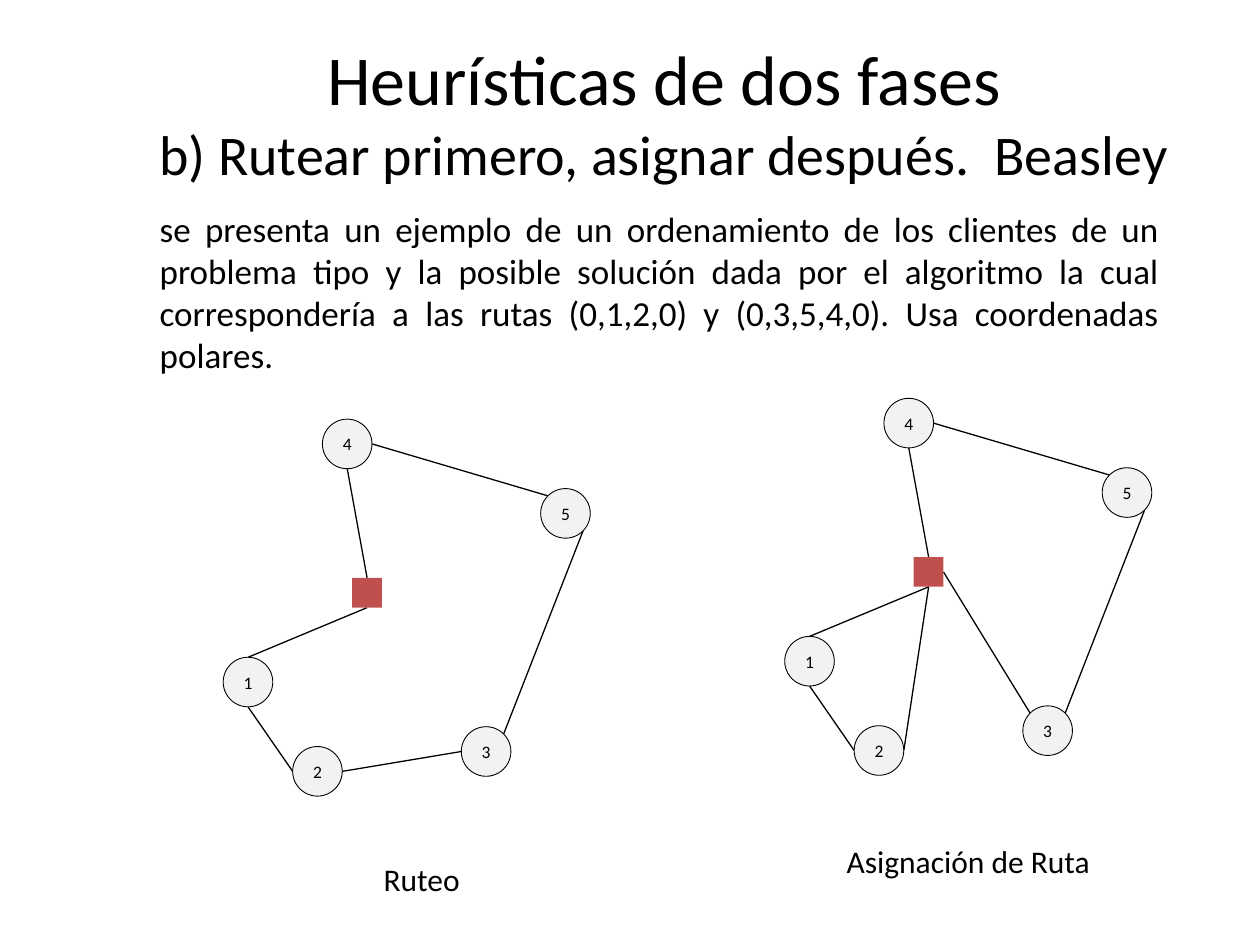
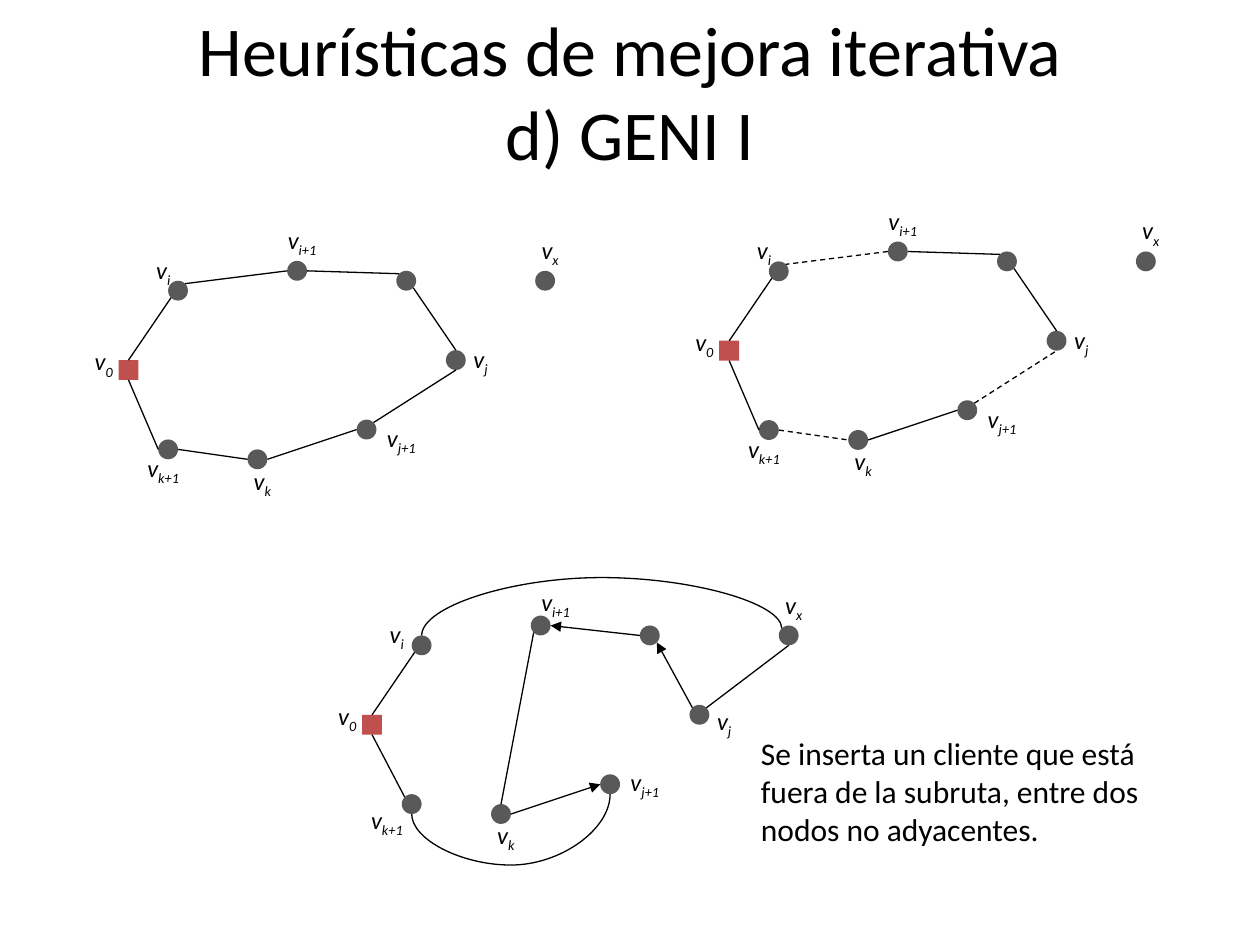
import dataclasses

import lxml.etree
import pptx
import pptx.dml.color
import pptx.enum.dml
import pptx.enum.shapes
import pptx.enum.text
import pptx.oxml.ns
import pptx.util

Cm = pptx.util.Cm
Align = pptx.enum.text.PP_ALIGN
Anchor = pptx.enum.text.MSO_ANCHOR
Preset = pptx.enum.shapes.MSO_SHAPE
Link = pptx.enum.shapes.MSO_CONNECTOR


@dataclasses.dataclass(frozen=True)
class Theme:
    """Colours, font, type sizes and line widths of the deck."""

    font: str = "Calibri"
    ink: str = "000000"
    depot: str = "C0504D"
    client: str = "F2F2F2"
    vertex: str = "595959"
    title: int = 40
    subtitle: int = 32
    body: int = 20
    caption: int = 18
    label: int = 14
    number: int = 10
    edge: float = 0.75
    outline: float = 0.5


@dataclasses.dataclass(frozen=True)
class Box:
    """A rectangle in centimetres."""

    left: float
    top: float
    width: float
    height: float

    def inner(self, left, top, width, height):
        """Return a box placed relative to this one."""
        return Box(self.left + left, self.top + top, width, height)

    def lengths(self):
        """Return left, top, width and height as slide lengths."""
        return [Cm(value) for value in dataclasses.astuple(self)]

    def site(self, compass):
        """Return the point of the inscribed ellipse in a compass direction."""
        reach = 0.3536 if len(compass) == 2 else 0.5
        across = ("e" in compass) - ("w" in compass)
        down = ("s" in compass) - ("n" in compass)
        return (
            self.left + self.width * (0.5 + reach * across),
            self.top + self.height * (0.5 + reach * down),
        )


THEME = Theme()

CLIENT_SIZE, CLIENT_DEPOT_SIZE, VERTEX_SIZE = 1, 0.6, 0.4
CLIENT_PLACES = {"1": (0, 4.8), "2": (1.4, 6.6), "3": (4.8, 6.2), "4": (2, 0), "5": (6.4, 1.4)}
CLIENT_DEPOT_PLACE = (2.6, 3.2)
SHARED_ROUTE = ["4 e 5 nw", "5 se 3 ne", "0 n 4 s", "1 n 0 s", "1 s 2 w"]
ROUTING = SHARED_ROUTE + ["3 w 2 e"]
ASSIGNMENT = SHARED_ROUTE + ["0 s 2 e", "0 e 3 nw"]

VERTEX_PLACES = {
    "0": (0, 2), "i": (1, 0.4), "i+1": (3.4, 0), "next": (5.6, 0.2), "j": (6.6, 1.8),
    "j+1": (4.8, 3.2), "k": (2.6, 3.8), "k+1": (0.8, 3.6), "x": (8.4, 0.2),
}
LABEL_OFFSETS = {
    "0": (-0.8, -0.4), "i": (-0.6, -0.65), "i+1": (-0.4, -0.85), "j": (0, -0.25),
    "j+1": (0.2, -0.05), "k": (-0.4, 0.2), "k+1": (-0.6, 0.15), "x": (-0.4, -0.85),
}
INSERTED_OFFSETS = LABEL_OFFSETS | {
    "i": (-0.8, -0.45), "i+1": (-0.2, -0.7), "j": (0, -0.1), "j+1": (0.2, -0.28), "k+1": (-1, 0.1),
}
KEPT = ["i sw 0 n", "next nw i+1 e", "j n next se", "k e j+1 w", "0 s k+1 w"]
REMOVED = ["i+1 w i ne", "j+1 ne j s", "k+1 e k w"]
INSERTED = ["i sw 0 n", "j ne x s", "0 s k+1 nw", "i+1 sw k n"]
REVERSED = ["k e j+1 w", "j nw next se", "next w i+1 e"]


def colour(code):
    """Turn a hex code into a colour."""
    return pptx.dml.color.RGBColor.from_string(code)


def write(frame, *lines, size=THEME.caption, align=Align.CENTER, anchor=Anchor.TOP, wrap=True):
    """Fill a text frame with one paragraph; a line is a list of (text, format) spans."""
    frame.word_wrap = wrap
    frame.auto_size = pptx.enum.text.MSO_AUTO_SIZE.NONE
    frame.vertical_anchor = anchor
    para = frame.paragraphs[0]
    para.alignment = align
    for index, line in enumerate(lines):
        if index:
            para.add_line_break()
        for text, look in line:
            span = para.add_run()
            span.text = text
            span.font.name = THEME.font
            span.font.size = pptx.util.Pt(look.get("size", size))
            span.font.color.rgb = colour(THEME.ink)
            if look.get("italic"):
                span.font.italic = True
            if look.get("subscript"):
                span.font._element.set("baseline", "-25000")


def add_text(page, box, *lines, **look):
    """Add a text box."""
    write(page.shapes.add_textbox(*box.lengths()).text_frame, *lines, **look)


def set_title(page, box, *lines):
    """Place and fill the title placeholder."""
    title = page.shapes.title
    title.left, title.top, title.width, title.height = box.lengths()
    write(title.text_frame, *lines, size=THEME.title)


def add_node(page, box, preset, fill, outlined=False):
    """Add a flat filled shape for a node."""
    node = page.shapes.add_shape(preset, *box.lengths())
    node.shadow.inherit = False
    node.fill.solid()
    node.fill.fore_color.rgb = colour(fill)
    if outlined:
        node.line.color.rgb = colour(THEME.ink)
        node.line.width = pptx.util.Pt(THEME.outline)
    else:
        node.line.fill.background()
    return node


def add_link(page, start, end, kind=Link.STRAIGHT, dashed=False, arrow=False):
    """Add a thin connector between two points."""
    link = page.shapes.add_connector(kind, *[Cm(value) for value in (*start, *end)])
    link.line.color.rgb = colour(THEME.ink)
    link.line.width = pptx.util.Pt(THEME.edge)
    if dashed:
        link.line.dash_style = pptx.enum.dml.MSO_LINE.DASH
    properties = link._element.spPr
    if arrow:
        outline = properties.find(pptx.oxml.ns.qn("a:ln"))
        lxml.etree.SubElement(outline, pptx.oxml.ns.qn("a:tailEnd"), type="triangle")
    lxml.etree.SubElement(properties, pptx.oxml.ns.qn("a:effectLst"))
    return link


def add_arc(page, start, end, rise):
    """Add a curve from a lower left point to an upper right one, bowed up by rise."""
    middle_x, middle_y = (start[0] + end[0]) / 2, (start[1] + end[1]) / 2
    half_run, half_climb = (end[0] - start[0]) / 2, (start[1] - end[1]) / 2
    arc = add_link(
        page,
        (middle_x + half_climb, middle_y + half_run),
        (middle_x - half_climb, middle_y - half_run),
        kind=Link.CURVE,
    )
    properties = arc._element.spPr
    properties.find(pptx.oxml.ns.qn("a:xfrm")).set("rot", "5400000")
    geometry = properties.find(pptx.oxml.ns.qn("a:prstGeom"))
    guides = geometry.find(pptx.oxml.ns.qn("a:avLst"))
    if guides is None:
        guides = lxml.etree.SubElement(geometry, pptx.oxml.ns.qn("a:avLst"))
    bend = round(rise / (2 * half_climb) * 100000)
    lxml.etree.SubElement(guides, pptx.oxml.ns.qn("a:gd"), name="adj1", fmla=f"val {bend}")


def add_edges(page, nodes, edges, **look):
    """Link nodes by edges written as 'node side node side'."""
    for edge in edges:
        first, leaving, second, entering = edge.split()
        add_link(page, nodes[first].site(leaving), nodes[second].site(entering), **look)


def draw_route(page, box, edges, caption, caption_box):
    """Draw the numbered clients, the depot, their route and its caption."""
    nodes = {
        number: box.inner(*place, CLIENT_SIZE, CLIENT_SIZE) for number, place in CLIENT_PLACES.items()
    }
    nodes["0"] = box.inner(*CLIENT_DEPOT_PLACE, CLIENT_DEPOT_SIZE, CLIENT_DEPOT_SIZE)
    add_edges(page, nodes, edges)
    add_node(page, nodes["0"], Preset.RECTANGLE, THEME.depot)
    for number in CLIENT_PLACES:
        client = add_node(page, nodes[number], Preset.OVAL, THEME.client, outlined=True)
        write(client.text_frame, [(number, {})], size=THEME.number, anchor=Anchor.MIDDLE, wrap=False)
    add_text(page, box.inner(*caption_box), [(caption, {})])


def draw_tour(page, box, offsets, solid, dashed=(), arrows=()):
    """Draw the tour vertices with labels and edges, and return the vertex boxes."""
    nodes = {
        name: box.inner(*place, VERTEX_SIZE, VERTEX_SIZE) for name, place in VERTEX_PLACES.items()
    }
    for name, node in nodes.items():
        is_depot = name == "0"
        add_node(
            page,
            node,
            Preset.RECTANGLE if is_depot else Preset.OVAL,
            THEME.depot if is_depot else THEME.vertex,
        )
    add_edges(page, nodes, solid)
    add_edges(page, nodes, dashed, dashed=True)
    add_edges(page, nodes, arrows, arrow=True)
    for name, offset in offsets.items():
        width = 1 if name in ("0", "i") else 1.4
        symbol = [("v", {"italic": True}), (name, {"italic": True, "subscript": True})]
        add_text(page, nodes[name].inner(*offset, width, 0.86), symbol, size=THEME.label)
    return nodes


def build_two_phase(page):
    """Build the slide on routing first and assigning later."""
    set_title(
        page,
        Box(2.77, 0.58, 21.23, 3.33),
        [("Heurísticas de dos fases", {})],
        [("b) Rutear primero, asignar después.  Beasley", {"size": THEME.subtitle})],
    )
    example = (
        "se presenta un ejemplo de un ordenamiento de los clientes de un problema tipo y la "
        "posible solución dada por el algoritmo la cual correspondería a las rutas (0,1,2,0) "
        "y (0,3,5,4,0). Usa coordenadas polares."
    )
    add_text(
        page, Box(2.97, 4.06, 20.65, 3.68), [(example, {})], size=THEME.body, align=Align.JUSTIFY
    )
    draw_route(page, Box(4.5, 8.45, 7.4, 7.6), ROUTING, "Ruteo", (2.8, 8.77, 2.4, 1.02))
    draw_route(
        page, Box(15.82, 8.03, 7.4, 7.6), ASSIGNMENT, "Asignación de Ruta", (-0.2, 8.81, 7.8, 1.02)
    )


def build_geni(page):
    """Build the slide on the GENI insertion."""
    set_title(
        page,
        Box(3.38, 0, 18.64, 5.38),
        [("Heurísticas de mejora iterativa", {})],
        [("d) GENI I", {})],
    )
    draw_tour(page, Box(2.39, 5.26, 8.8, 4.2), LABEL_OFFSETS, KEPT + REMOVED)
    draw_tour(page, Box(14.5, 4.87, 8.8, 4.2), LABEL_OFFSETS, KEPT, dashed=REMOVED)
    nodes = draw_tour(
        page, Box(7.3, 12.41, 8.8, 4.2), INSERTED_OFFSETS, INSERTED, arrows=REVERSED
    )
    add_arc(page, nodes["i"].site("n"), nodes["x"].site("nw"), rise=1.17)
    add_arc(page, nodes["k+1"].site("s"), nodes["j+1"].site("s"), rise=-1.03)
    note = "Se inserta un cliente que está fuera de la subruta, entre dos nodos no adyacentes."
    add_text(page, Box(15.09, 14.68, 9.12, 2.57), [(note, {})], align=Align.LEFT)


def main():
    """Build and save the deck."""
    deck = pptx.Presentation()
    deck.slide_width, deck.slide_height = Cm(25.4), Cm(19.05)
    for build in (build_two_phase, build_geni):
        build(deck.slides.add_slide(deck.slide_layouts[5]))
    deck.save("out.pptx")


if __name__ == "__main__":
    main()
